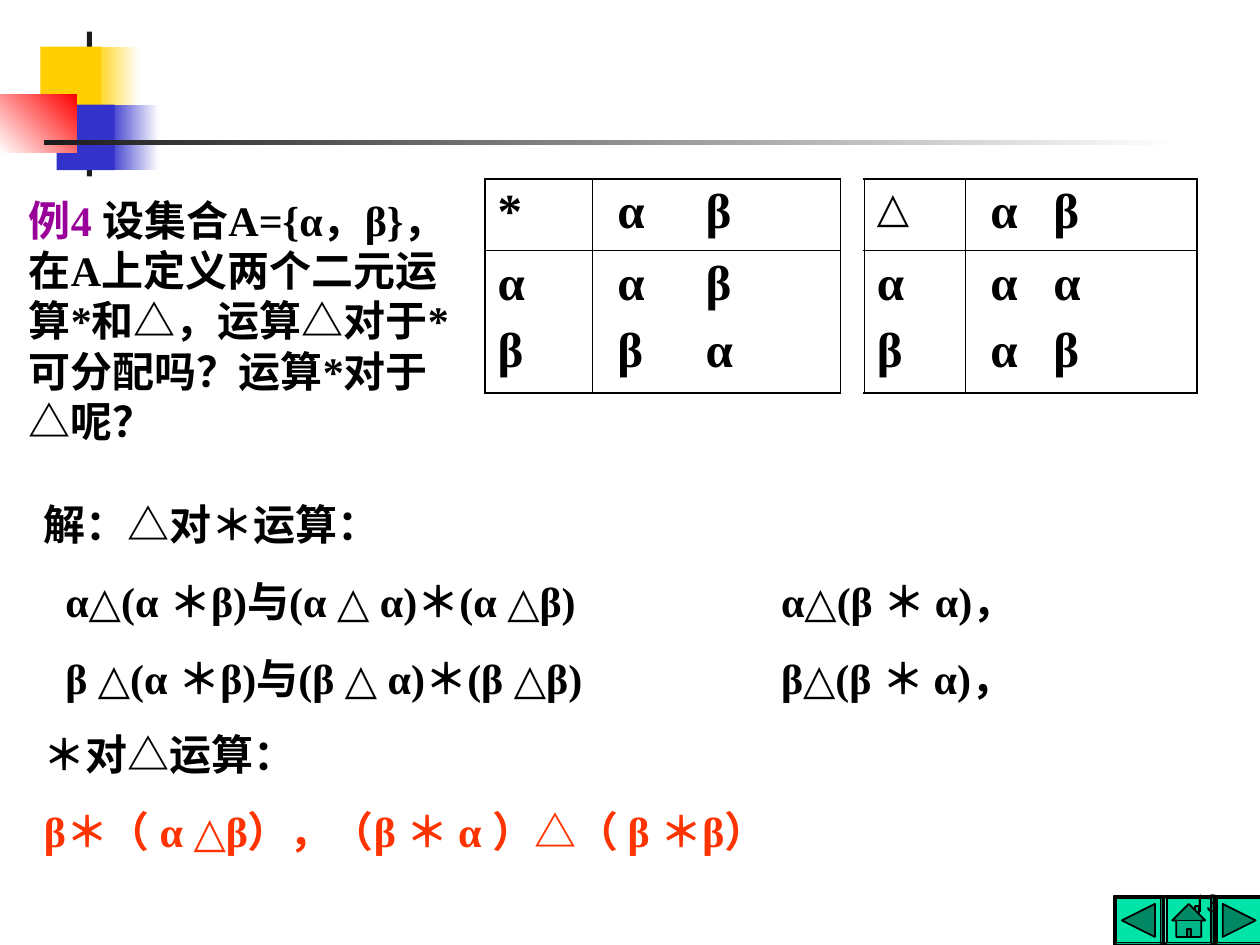
from lxml import etree
from pptx import Presentation
from pptx import util as u
from pptx.dml.color import RGBColor
from pptx.enum import shapes, text
from pptx.oxml.ns import qn

COLORS = {
    "ink": "000000", "dark": "1C1C1C", "white": "FFFFFF", "yellow": "FFCF01",
    "blue": "3333CC", "red": "FF0000", "label": "990099", "answer": "FF3300",
    "button": "00E4A8",
}
SERIF = "Times New Roman"
THICK, THIN = 1.08, 0.45


def rgb(name):
    return RGBColor.from_string(COLORS[name])


def box(*lengths):
    return [u.Inches(v) for v in lengths]


def write(tf, paragraphs, size=24, font=SERIF, bold=True, color="ink",
          before=0, tabs=(), align=text.PP_ALIGN.LEFT, unbullet=False):
    """Fill a text frame; a paragraph is a string or a list of (text, colour)."""
    tf.word_wrap = True
    for i, runs in enumerate(paragraphs):
        p = tf.paragraphs[0] if i == 0 else tf.add_paragraph()
        p.alignment = align
        p.space_before = u.Pt(before if i else 0)
        pPr = p._p.get_or_add_pPr()
        if unbullet:
            pPr.set("marL", "0")
            pPr.set("indent", "0")
            etree.SubElement(pPr, qn("a:buNone"))
        if tabs:
            stops = etree.SubElement(pPr, qn("a:tabLst"))
            for pos in tabs:
                etree.SubElement(stops, qn("a:tab"), pos=str(u.Inches(pos)), algn="l")
        for words, tint in [(runs, color)] if isinstance(runs, str) else runs:
            r = p.add_run()
            r.text = words
            r.font.size, r.font.name, r.font.bold = u.Pt(size), font, bold
            r.font.color.rgb = rgb(tint)


def fill_body(sp, at, paragraphs, **fmt):
    sp.left, sp.top, sp.width, sp.height = box(*at)
    tf = sp.text_frame
    tf.auto_size = text.MSO_AUTO_SIZE.NONE
    tf.vertical_anchor = text.MSO_ANCHOR.TOP
    write(tf, paragraphs, unbullet=True, **fmt)


def add_text(slide, at, paragraphs, anchor=text.MSO_ANCHOR.TOP, **fmt):
    tf = slide.shapes.add_textbox(*box(*at)).text_frame
    tf.vertical_anchor = anchor
    write(tf, paragraphs, **fmt)


def add_block(slide, at, color, fade=None, kind=shapes.MSO_SHAPE.RECTANGLE, line=None):
    """Add a plain shape; fade is the angle along which its colour turns white."""
    sp = slide.shapes.add_shape(kind, *box(*at))
    sp.shadow.inherit = False
    if fade is None:
        sp.fill.solid()
        sp.fill.fore_color.rgb = rgb(color)
    else:
        sp.fill.gradient()
        sp.fill.gradient_angle = fade
        for stop, name in zip(sp.fill.gradient_stops, (color, "white")):
            stop.color.rgb = rgb(name)
    if line:
        sp.line.color.rgb = rgb(line)
        sp.line.width = u.Pt(1)
    else:
        sp.line.fill.background()
    return sp


def add_ornament(slide):
    add_block(slide, (0.74, 0.37, 0.36, 0.52), "yellow", fade=0)
    add_block(slide, (0.86, 0.83, 0.4, 0.52), "blue", fade=0)
    add_block(slide, (0.69, 0.25, 0.04, 1.15), "dark")
    add_block(slide, (0.32, 0.37, 0.48, 0.52), "yellow")
    add_block(slide, (0.45, 0.83, 0.46, 0.52), "blue")
    add_block(slide, (0, 0.75, 0.61, 0.46), "red", fade=225)
    add_block(slide, (0.35, 1.11, 9, 0.04), "dark", fade=0)


def add_buttons(slide):
    """Row of navigation buttons, each an icon face on a bevelled edge."""
    kinds = shapes.MSO_SHAPE
    side, edge = 0.39, 0.02
    for i, kind in enumerate((kinds.ACTION_BUTTON_BACK_OR_PREVIOUS,
                              kinds.ACTION_BUTTON_HOME,
                              kinds.ACTION_BUTTON_FORWARD_OR_NEXT)):
        left, top, face = 8.84 + 0.4 * i, 7.11, side - 2 * edge
        bevel = add_block(slide, (left, top, side, side), "button",
                          kind=kinds.BEVEL, line="ink")
        bevel.adjustments[0] = edge / side
        add_block(slide, (left + edge, top + edge, face, face), "button",
                  kind=kind, line="ink")


def set_borders(cell, row, col):
    """Thick on the outside of a two by two table, thin inside."""
    tcPr = cell._tc.get_or_add_tcPr()
    outer = {"L": col == 0, "R": col == 1, "T": row == 0, "B": row == 1}
    for side, is_outer in outer.items():
        ln = etree.SubElement(tcPr, qn(f"a:ln{side}"),
                              w=str(u.Pt(THICK if is_outer else THIN)))
        paint = etree.SubElement(ln, qn("a:solidFill"))
        etree.SubElement(paint, qn("a:srgbClr"), val=COLORS["ink"])


def add_operation_table(slide, left, widths, operator, operator_size, results, gap):
    """Two by two table of an operation; gap is the tab stop of its second column."""
    table = slide.shapes.add_table(2, 2, *box(left, 1.42, sum(widths), 1.7)).table
    table.first_row = table.horz_banding = False
    for column, width in zip(table.columns, widths):
        column.width = u.Inches(width)
    for row, height in zip(table.rows, (0.57, 1.13)):
        row.height = u.Inches(height)
    contents = [[[operator], ["\tα\tβ"]], [["α", "β"], results]]
    for i, row in enumerate(contents):
        for j, lines in enumerate(row):
            cell = table.cell(i, j)
            set_borders(cell, i, j)
            cell.fill.background()
            write(cell.text_frame, lines, before=7,
                  size=operator_size if i == j == 0 else 28,
                  tabs=(0.1, gap) if j else ())


def main():
    prs = Presentation()
    prs.slide_width, prs.slide_height = box(10, 7.5)
    slide = prs.slides.add_slide(prs.slide_layouts.get_by_name("Title and Content"))
    title, example = slide.placeholders
    title._element.getparent().remove(title._element)

    add_ornament(slide)
    add_buttons(slide)
    fill_body(example, (0.13, 1.49, 3.62, 2.1), [[
        ("例4 ", "label"),
        ("设集合A={α，β}，在A上定义两个二元运算*和△，运算△对于*可分配吗？运算*对于△呢？", "ink"),
    ]])
    add_text(slide, (0.25, 3.91, 9.48, 2.94), [
        "解：△对＊运算：",
        "\tα△(α ＊β)与(α △ α)＊(α △β)\tα△(β ＊ α)，",
        "\tβ △(α ＊β)与(β △ α)＊(β △β)\tβ△(β ＊ α)，",
        "＊对△运算：",
        [("β＊（ α △β），（β ＊ α ）△（ β ＊β）", "answer")],
    ], before=15, tabs=(0.17, 5.85))

    add_operation_table(slide, 3.85, (0.85, 1.97), "*", 28, ["\tα\tβ", "\tβ\tα"], 0.8)
    add_operation_table(slide, 6.86, (0.8, 1.84), "△", 24, ["\tα\tα", "\tα\tβ"], 0.6)

    add_text(slide, (7.7, 6.83, 2.08, 0.5), ["13"], anchor=text.MSO_ANCHOR.BOTTOM,
             size=14, font="Roboto", bold=False, align=text.PP_ALIGN.RIGHT)
    prs.save("out.pptx")


if __name__ == "__main__":
    main()
